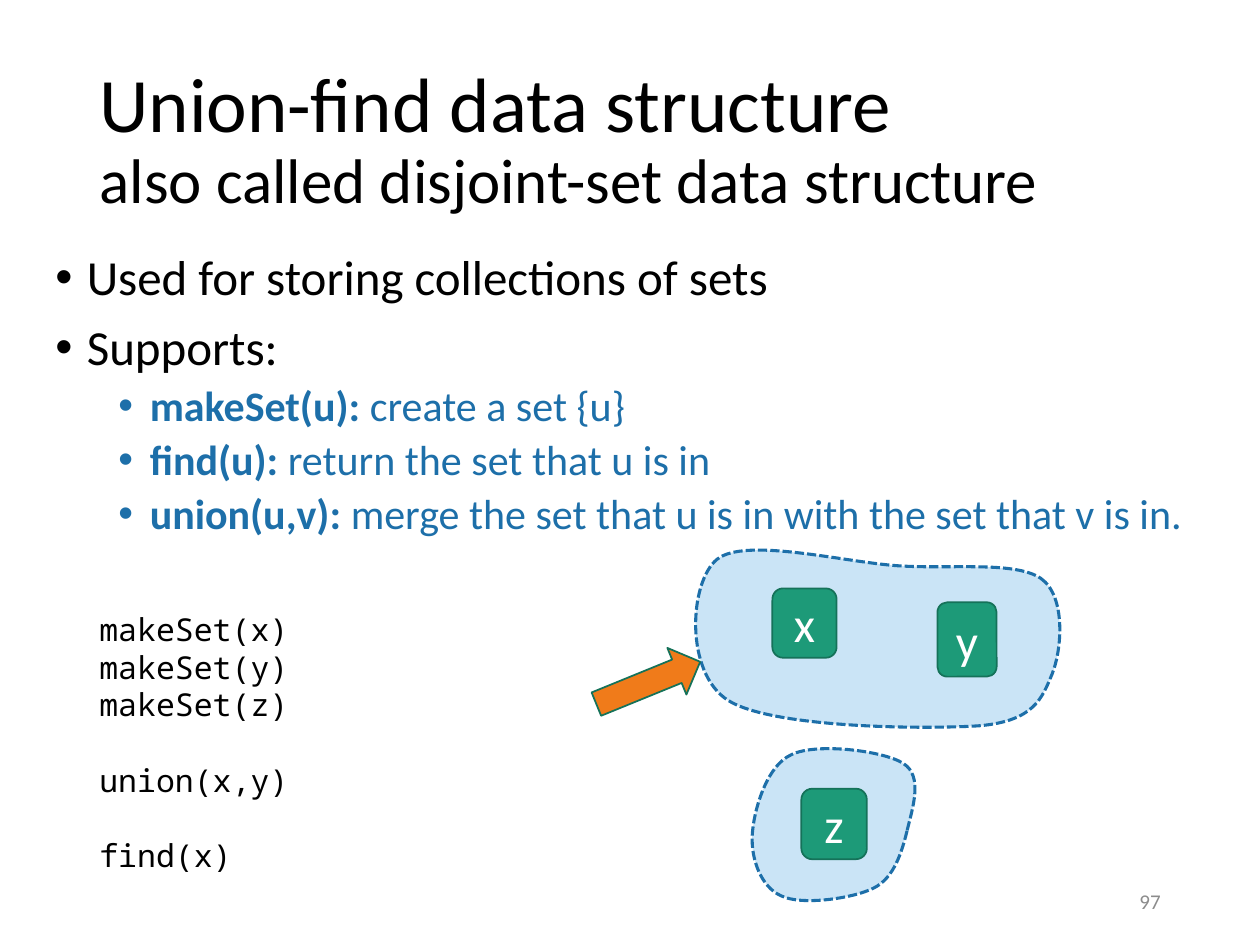
from lxml import etree
from pptx import Presentation
from pptx import util as u
from pptx.dml.color import RGBColor
from pptx.enum import dml, shapes, text
from pptx.oxml.ns import qn

COLORS = {"ink": "000000", "blue": "1D6FA9", "pale": "CAE4F6", "green": "1D9A78",
          "edge": "157259", "orange": "F07B1A", "white": "FFFFFF", "gray": "8C8C8C"}
FONTS = {
    "title": {"name": "Calibri", "size": u.Pt(44)},
    "subtitle": {"name": "Calibri", "size": u.Pt(36)},
    "point": {"name": "Calibri", "size": u.Pt(28)},
    "operation": {"name": "Calibri", "size": u.Pt(24), "bold": True},
    "meaning": {"name": "Calibri", "size": u.Pt(24), "bold": False},
    "code": {"name": "Noto Sans Mono", "size": u.Pt(18)},
    "number": {"name": "Calibri", "size": u.Pt(12)},
}


def write(paragraph, words, style, color):
    run = paragraph.add_run()
    run.text = words
    for key, value in FONTS[style].items():
        setattr(run.font, key, value)
    run.font.color.rgb = RGBColor.from_string(COLORS[color])


def paint(shape, fill, line, width):
    shape.shadow.inherit = False
    shape.fill.solid()
    shape.fill.fore_color.rgb = RGBColor.from_string(COLORS[fill])
    shape.line.color.rgb = RGBColor.from_string(COLORS[line])
    shape.line.width = u.Pt(width)


deck = Presentation()
deck.slide_width, deck.slide_height = u.Inches(10), u.Inches(7.5)
slide = deck.slides.add_slide(deck.slide_layouts[5])
canvas = slide.shapes

set_outlines = [
    ((5.52, 4.36, 2.89, 1.41),
     [(8.26, 4.59),
      (8.46, 4.73), (8.43, 5.15), (8.35, 5.35),
      (8.27, 5.54), (8.21, 5.72), (7.78, 5.76),
      (7.35, 5.79), (6.13, 5.78), (5.78, 5.56),
      (5.43, 5.34), (5.47, 4.62), (5.69, 4.44),
      (5.91, 4.26), (6.69, 4.46), (7.12, 4.49),
      (7.54, 4.52), (8.05, 4.45), (8.26, 4.59)]),
    ((5.97, 5.94, 1.29, 1.21),
     [(7.2, 6.59),
      (7.24, 6.42), (7.33, 6.16), (7.17, 6.06),
      (7.02, 5.96), (6.48, 5.89), (6.28, 5.99),
      (6.08, 6.08), (5.98, 6.44), (5.97, 6.63),
      (5.96, 6.82), (6.04, 7.04), (6.2, 7.11),
      (6.36, 7.19), (6.77, 7.13), (6.93, 7.05),
      (7.1, 6.97), (7.16, 6.75), (7.2, 6.59)]),
]
for frame, outline in set_outlines:
    left, top, width, height = map(u.Inches, frame)
    nodes = [(u.Inches(x), u.Inches(y)) for x, y in outline]
    pen = canvas.build_freeform(*nodes[0])
    pen.add_line_segments(nodes[3::3], close=True)
    blob = pen.convert_to_shape()
    blob.left, blob.top, blob.width, blob.height = left, top, width, height
    contour = next(blob._element.iter(qn("a:path")))
    contour.set("w", str(width))
    contour.set("h", str(height))
    strokes = [contour.find(qn("a:moveTo"))] + contour.findall(qn("a:lnTo"))
    for index, stroke in enumerate(strokes):
        curve = etree.Element(qn("a:cubicBezTo" if index else "a:moveTo"))
        for x, y in nodes[max(0, 3 * index - 2):3 * index + 1]:
            node = etree.SubElement(curve, qn("a:pt"))
            node.set("x", str(x - left))
            node.set("y", str(y - top))
        contour.replace(stroke, curve)
    paint(blob, "pale", "blue", 1.75)
    blob.line.dash_style = dml.MSO_LINE.SQUARE_DOT

title = canvas.title
title.left, title.top, title.width, title.height = map(u.Inches, (0.69, 0.4, 8.62, 1.45))
for key, value in {"vertical_anchor": text.MSO_ANCHOR.MIDDLE, "word_wrap": True,
                   "auto_size": text.MSO_AUTO_SIZE.NONE}.items():
    setattr(title.text_frame, key, value)
heading = title.text_frame.paragraphs[0]
heading.alignment = text.PP_ALIGN.LEFT
heading.line_spacing = 0.9
write(heading, "Union-find data structure", "title", "ink")
heading.add_line_break()
write(heading, "also called disjoint-set data structure", "subtitle", "ink")

points = [
    (0, [("Used for storing collections of sets", "point")]),
    (0, [("Supports:", "point")]),
    (1, [("makeSet(u): ", "operation"), ("create a set {u}", "meaning")]),
    (1, [("find(u): ", "operation"), ("return the set that u is in", "meaning")]),
    (1, [("union(u,v): ", "operation"),
         ("merge the set that u is in with the set that v is in.", "meaning")]),
]
summary = canvas.add_textbox(*map(u.Inches, (0.34, 1.96, 9.31, 4.76))).text_frame
summary.word_wrap = True
for index, (level, parts) in enumerate(points):
    point = summary.add_paragraph() if index else summary.paragraphs[0]
    point.level = level
    properties = point._p.get_or_add_pPr()
    properties.set("marL", str(u.Inches(0.25 + 0.5 * level)))
    properties.set("indent", str(u.Inches(-0.25)))
    etree.SubElement(properties, qn("a:buFont")).set("typeface", "Arial")
    etree.SubElement(properties, qn("a:buChar")).set("char", "•")
    point.line_spacing = 0.9
    point.space_before = u.Pt((5 if level else 10) if index else 0)
    for words, style in parts:
        write(point, words, style, "blue" if level else "ink")

calls = [("makeSet(x)", 0), ("makeSet(y)", 0), ("makeSet(z)", 0), ("union(x,y)", 21.5), ("find(x)", 21.5)]
code = canvas.add_textbox(*map(u.Inches, (0.69, 4.79, 3.93, 2.22))).text_frame
code.word_wrap = True
for index, (call, gap) in enumerate(calls):
    line = code.add_paragraph() if index else code.paragraphs[0]
    line.space_before = u.Pt(gap)
    write(line, call, "code", "ink")

members = {"x": (6.13, 4.67, 0.51, 0.55), "y": (7.44, 4.78, 0.47, 0.59), "z": (6.36, 6.26, 0.52, 0.56)}
for letter, place in members.items():
    member = canvas.add_shape(shapes.MSO_SHAPE.ROUNDED_RECTANGLE, *map(u.Inches, place))
    paint(member, "green", "edge", 1)
    member.text_frame.vertical_anchor = text.MSO_ANCHOR.MIDDLE
    label = member.text_frame.paragraphs[0]
    label.alignment = text.PP_ALIGN.CENTER
    write(label, letter, "point", "white")

pointer = canvas.add_shape(shapes.MSO_SHAPE.RIGHT_ARROW, *map(u.Inches, (4.7, 5.22, 0.89, 0.4)))
pointer.rotation = 337.8
paint(pointer, "orange", "edge", 1)

page = canvas.add_textbox(*map(u.Inches, (7.06, 6.95, 2.25, 0.4))).text_frame
page.word_wrap = True
page.vertical_anchor = text.MSO_ANCHOR.MIDDLE
page.paragraphs[0].alignment = text.PP_ALIGN.RIGHT
write(page.paragraphs[0], "97", "number", "gray")

deck.save("out.pptx")
